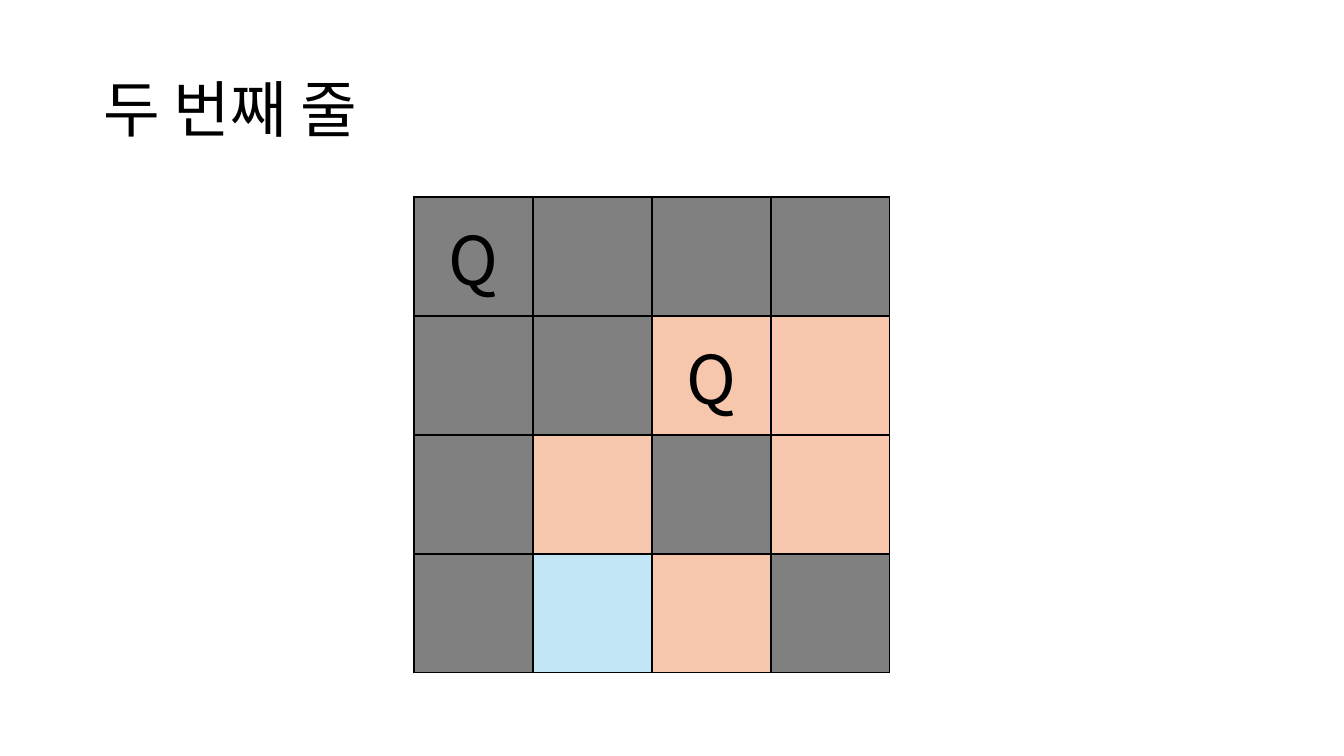
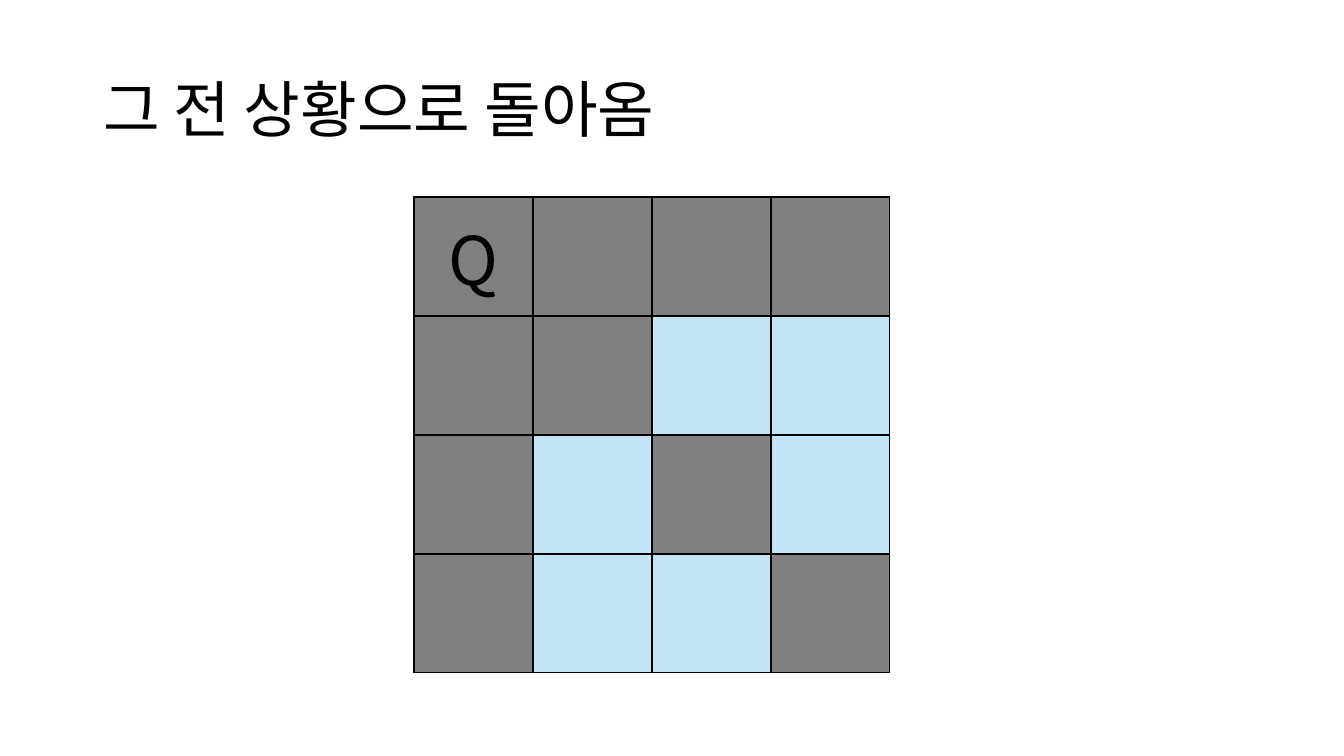
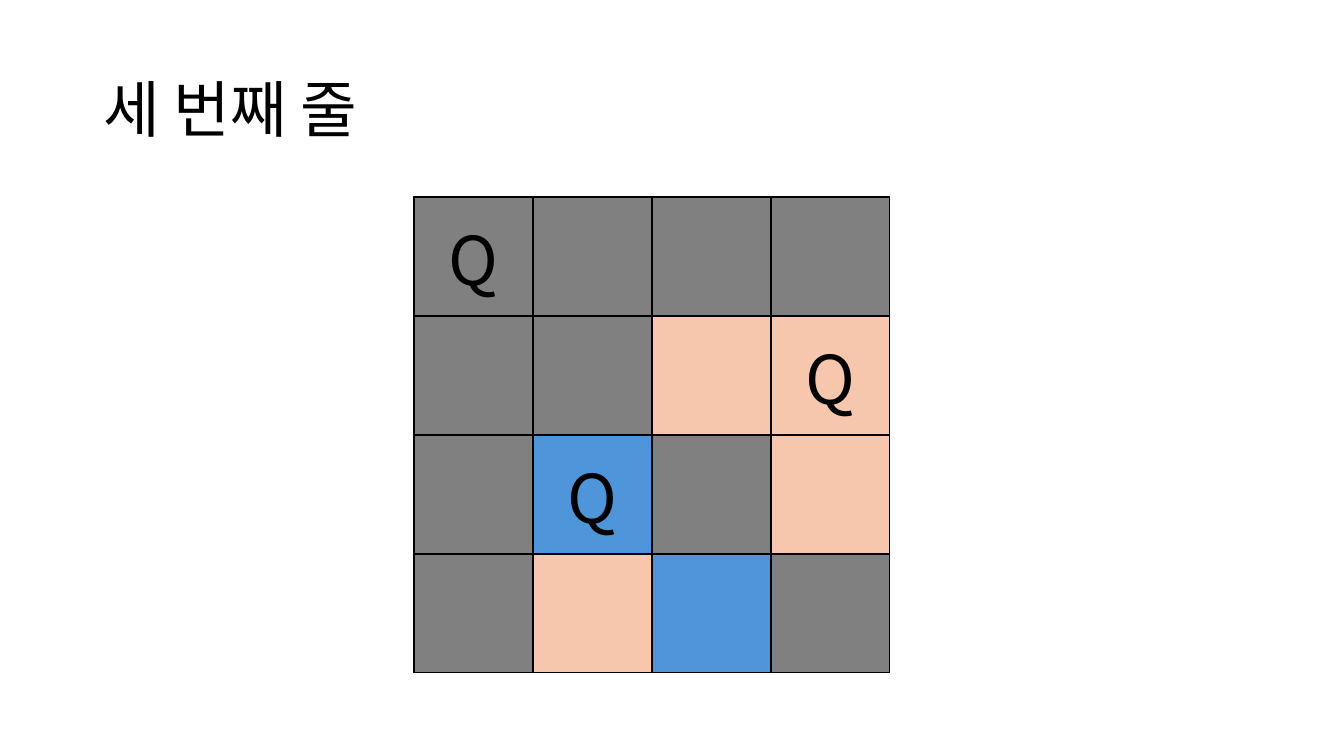
from lxml.etree import SubElement
from pptx import Presentation
from pptx.dml.color import RGBColor
from pptx.enum.text import MSO_ANCHOR as Anchor, MSO_AUTO_SIZE as AutoSize, PP_ALIGN as Align
from pptx.oxml.ns import qn
from pptx.util import Pt

PX = 9144000 / 1008  # EMU per pixel at 100.8 pixels to the inch
FONT = "Noto Sans CJK KR"
BLACK = RGBColor(0x00, 0x00, 0x00)
GRAY = RGBColor(0x80, 0x80, 0x80)
PEACH = RGBColor(0xF6, 0xC6, 0xAD)
SKY = RGBColor(0xC1, 0xE5, 0xF5)
BLUE = RGBColor(0x4E, 0x95, 0xD9)

SQUARE = 119
BOARD_SIZE = 4
BOARD_LEFT, BOARD_TOP = 414, 197
SQUARE_COLORS = {"g": GRAY, "p": PEACH, "s": SKY, "b": BLUE}

# title, colour of each square row by row, queens as (row, column)
STEPS = [
    ("두 번째 줄", ["gggg", "ggpp", "gpgp", "gspg"], [(0, 0), (1, 2)]),
    ("그 전 상황으로 돌아옴", ["gggg", "ggss", "gsgs", "gssg"], [(0, 0)]),
    ("세 번째 줄", ["gggg", "ggpp", "gbgp", "gpbg"], [(0, 0), (1, 3), (2, 1)]),
]


def px(length):
    return round(length * PX)


def write(frame, text, size, align=Align.LEFT, line_spacing=1.0):
    paragraph = frame.paragraphs[0]
    paragraph.alignment = align
    paragraph.line_spacing = line_spacing
    run = paragraph.add_run()
    run.text = text
    run.font.size = Pt(size)
    run.font.bold = False
    run.font.color.rgb = BLACK
    run.font.name = FONT
    SubElement(run.font._element, qn("a:ea"), typeface=FONT)


deck = Presentation()
deck.slide_width, deck.slide_height = px(1344), px(756)
title_only = deck.slide_layouts[5]

for heading, color_rows, queens in STEPS:
    slide = deck.slides.add_slide(title_only)

    title = slide.shapes.title
    title.left, title.top, title.width, title.height = px(93), px(40), px(1159), px(146)
    title.text_frame.auto_size = AutoSize.NONE
    title.text_frame.vertical_anchor = Anchor.MIDDLE
    write(title.text_frame, heading, size=44, line_spacing=0.9)

    board_side = px(SQUARE * BOARD_SIZE)
    board = slide.shapes.add_table(BOARD_SIZE, BOARD_SIZE, px(BOARD_LEFT), px(BOARD_TOP),
                                   board_side, board_side).table
    board.first_row = board.horz_banding = False
    for column in board.columns:
        column.width = px(SQUARE)

    for r, color_row in enumerate(color_rows):
        board.rows[r].height = px(SQUARE)
        for c, color_key in enumerate(color_row):
            square = board.cell(r, c)
            square.vertical_anchor = Anchor.MIDDLE
            for side in ("a:lnL", "a:lnR", "a:lnT", "a:lnB"):
                border = SubElement(square._tc.get_or_add_tcPr(), qn(side), w=str(Pt(1)))
                border_fill = SubElement(border, qn("a:solidFill"))
                SubElement(border_fill, qn("a:srgbClr"), val=str(BLACK))
            square.fill.solid()
            square.fill.fore_color.rgb = SQUARE_COLORS[color_key]
            if (r, c) in queens:
                write(square.text_frame, "Q", size=48, align=Align.CENTER)

deck.save("out.pptx")
